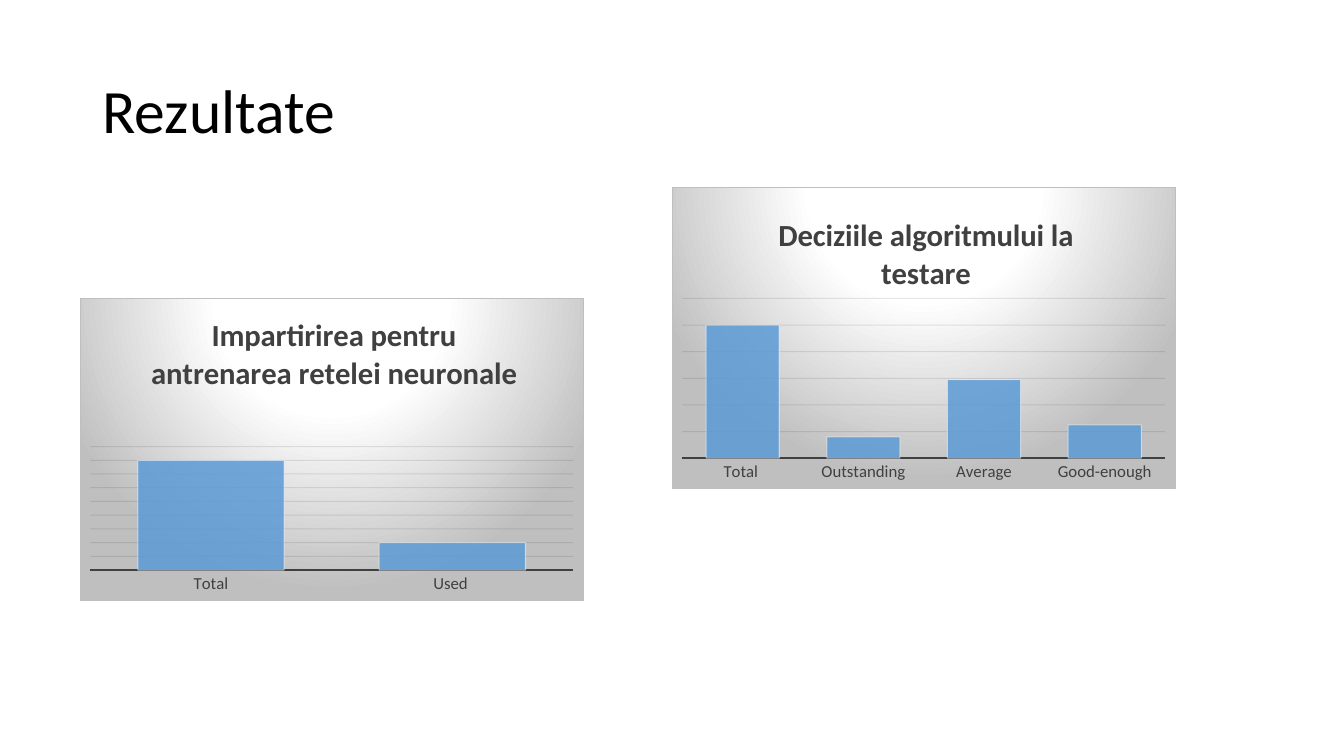
import pptx
import pptx.chart.data
import pptx.dml.color
import pptx.enum.chart
import pptx.enum.text
import pptx.oxml
import pptx.oxml.ns
import pptx.util
from pptx.util import Cm, Pt

NS = pptx.oxml.ns.nsdecls("a", "c")
BACKDROP = f"""<c:spPr {NS}>
  <a:gradFill><a:gsLst>
    <a:gs pos="0"><a:srgbClr val="FFFFFF"/></a:gs>
    <a:gs pos="39000"><a:srgbClr val="FFFFFF"/></a:gs>
    <a:gs pos="100000"><a:srgbClr val="BFBFBF"/></a:gs>
  </a:gsLst><a:path path="circle">
    <a:fillToRect l="50000" t="-80000" r="50000" b="180000"/>
  </a:path></a:gradFill>
  <a:ln w="9525"><a:solidFill><a:srgbClr val="BFBFBF"/></a:solidFill></a:ln>
</c:spPr>"""


def rgb(value):
    return pptx.dml.color.RGBColor.from_string(value)


def assign(obj, values):
    for name, value in values.items():
        setattr(obj, name, value)


class Deck:
    """Holds the style and the current slide, and adds elements to it."""

    font = "Calibri"
    dark = "404040"
    bar = "5B9BD5"

    def __init__(self, prs):
        self.slide = prs.slides.add_slide(prs.slide_layouts[5])

    def style(self, font, size, color, bold=False):
        assign(font, {"name": self.font, "size": Pt(size), "bold": bold})
        font.color.rgb = rgb(color)

    def line(self, fmt, color, width):
        fmt.line.color.rgb = rgb(color)
        fmt.line.width = Pt(width)

    def fade(self, chart, query, percent):
        for clr in chart.element.xpath(query):
            clr.append(pptx.oxml.parse_xml(f'<a:alpha {NS} val="{percent * 1000}"/>'))

    def layout(self, parent, index, **values):
        for old in parent.findall(pptx.oxml.ns.qn("c:layout")):
            parent.remove(old)
        items = "".join(f'<c:{k} val="{v}"/>' for k, v in values.items())
        parent.insert(index, pptx.oxml.parse_xml(
            f"<c:layout {NS}><c:manualLayout>{items}</c:manualLayout></c:layout>"))

    def title(self, text, left, top, width, height):
        sp = self.slide.shapes.title
        assign(sp, {"left": Cm(left), "top": Cm(top), "width": Cm(width), "height": Cm(height)})
        tf = sp.text_frame
        assign(tf, {"text": text, "word_wrap": True,
                    "vertical_anchor": pptx.enum.text.MSO_ANCHOR.MIDDLE})
        p = tf.paragraphs[0]
        assign(p, {"alignment": pptx.enum.text.PP_ALIGN.LEFT, "line_spacing": 0.9})
        self.style(p.runs[0].font, 44, "000000")

    def columns(self, left, top, heading, heading_at, values, plot_at, scale):
        data = pptx.chart.data.CategoryChartData()
        data.categories = list(values)
        data.add_series("Series 1", list(values.values()))
        kind = pptx.enum.chart.XL_CHART_TYPE.COLUMN_CLUSTERED
        chart = self.slide.shapes.add_chart(
            kind, Cm(left), Cm(top), Cm(12.7), Cm(7.62), data).chart
        self.style(chart.font, 10, "000000")
        chart.has_legend = False
        root = chart.element
        root.xpath("c:chart")[0].addnext(pptx.oxml.parse_xml(BACKDROP))

        tf = chart.chart_title.text_frame
        tf.text = heading
        self.style(tf.paragraphs[0].runs[0].font, 22, self.dark, True)
        chart.chart_title.include_in_layout = False
        x, y = heading_at
        self.layout(root.xpath("c:chart/c:title")[0], 1, xMode="edge", yMode="edge", x=x, y=y)
        y, h = plot_at
        self.layout(root.xpath("c:chart/c:plotArea")[0], 0, layoutTarget="inner",
                    xMode="edge", yMode="edge", x=0.02, y=y, w=0.96, h=h)

        plot = chart.plots[0]
        assign(plot, {"gap_width": 65, "vary_by_categories": False})
        fmt = plot.series[0].format
        fmt.fill.solid()
        fmt.fill.fore_color.rgb = rgb(self.bar)
        self.line(fmt, "FFFFFF", 0.75)
        self.fade(chart, "//c:ser/c:spPr/a:solidFill/a:srgbClr", 85)
        self.fade(chart, "//c:ser/c:spPr/a:ln//a:srgbClr", 50)

        none = pptx.enum.chart.XL_TICK_MARK.NONE
        axis = chart.category_axis
        assign(axis, {"major_tick_mark": none, "minor_tick_mark": none})
        self.style(axis.tick_labels.font, 12, self.dark)
        self.line(axis.format, self.dark, 1.5)
        top_value, step = scale
        axis = chart.value_axis
        assign(axis, {"visible": False, "has_major_gridlines": True, "minimum_scale": 0,
                      "maximum_scale": top_value, "major_unit": step})
        self.line(axis.major_gridlines.format, "0D0D0D", 0.75)
        self.fade(chart, "//c:majorGridlines//a:srgbClr", 10)


prs = pptx.Presentation()
assign(prs, {"slide_width": Cm(33.87), "slide_height": Cm(19.05)})
s = Deck(prs)
s.title("Rezultate ", 2.33, 1.01, 29.21, 3.68)
s.columns(2.01, 7.52, "Impartirirea pentru antrenarea retelei neuronale", (0.13, 0.03),
          {"Total": 100, "Used ": 25}, (0.49, 0.41), (112.5, 12.5))
s.columns(16.93, 4.7, "Deciziile algoritmului la testare", (0.2, 0.07),
          {"Total ": 100, "Outstanding": 16, "Average": 59, "Good-enough": 25},
          (0.37, 0.53), (120, 20))
prs.save("out.pptx")
